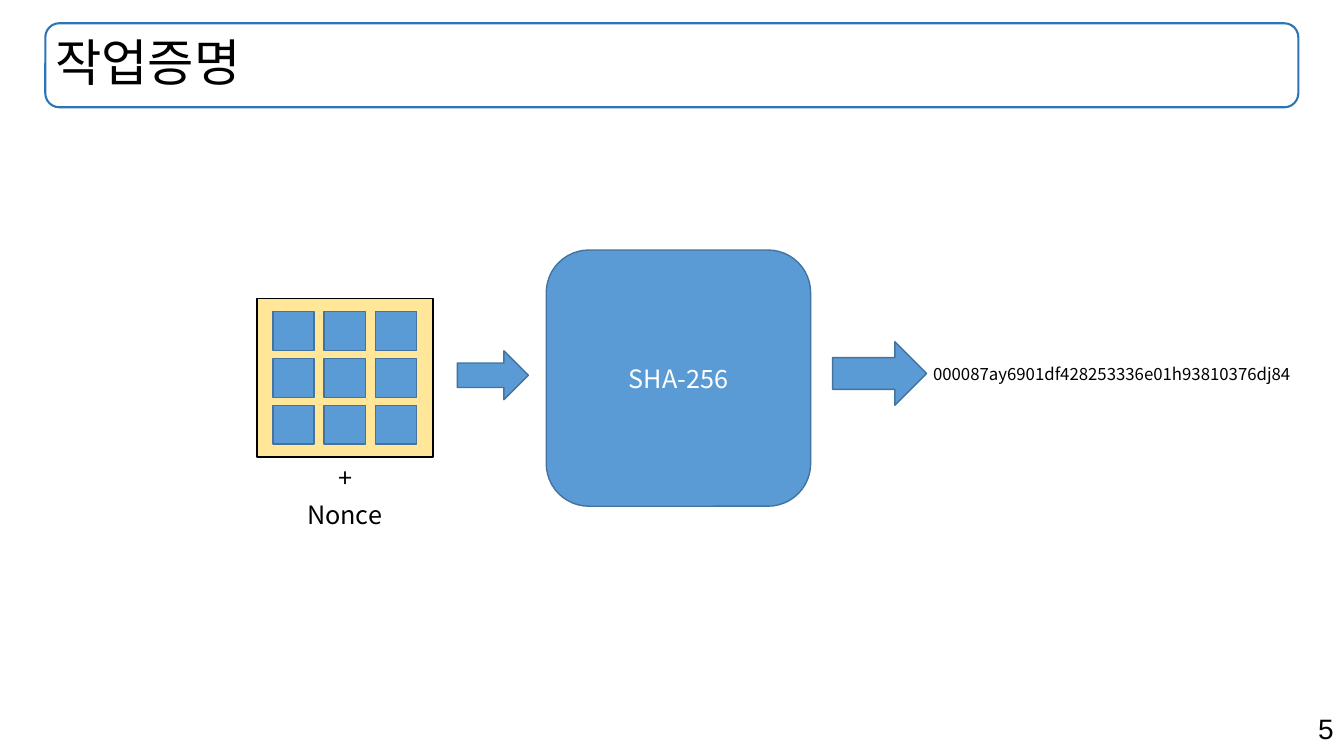
from itertools import product

from lxml import etree
from pptx import Presentation
from pptx.dml.color import RGBColor
from pptx.enum import shapes, text
from pptx.oxml.ns import qn
from pptx.util import Pt

THEME = {
    "black": "000000", "white": "FFFFFF",
    "blue": "5B9BD5", "blue_edge": "43739E", "title_edge": "2E75B6", "block": "FFE699",
    "latin": "Arial", "korean": "Noto Sans CJK KR",
    "title": 36, "number": 20, "label": 18, "hash": 12,
}
SHAPE = shapes.MSO_SHAPE
ALIGN = text.PP_ALIGN

# Boxes are left, top, width, height in points.
TITLE = ("작업증명", (32.4, 16.6, 895, 60))
PAGE_NUMBER = ("5", (679, 504.7, 280.8, 31.7))
HASHER = ("SHA-256", (390.2, 178.6, 188.9, 183))
LABELS = [
    ("000087ay6901df428253336e01h93810376dj84", (653.8, 256.3, 280.8, 21.6), "hash"),
    ("Nonce", (198.7, 352.8, 95, 28.8), "label"),
    ("+", (229, 326.9, 36, 28.8), "label"),
]
BLOCK = (183.6, 213.1, 125.6, 113.4)
ARROWS = [(326.7, 250.6, 50.7, 34.9), (594.7, 244.1, 67.2, 45.4)]
CELL_ORIGIN = (194.9, 222.7)
CELL_SIZE = (29.5, 27.6)
CELL_STEP = (36.6, 33.5)
GRID = 3


def color(name):
    return RGBColor.from_string(THEME[name])


def add_figure(page, kind, box, fill="blue", edge="blue_edge", weight=1):
    figure = page.shapes.add_shape(kind, *map(Pt, box))
    figure.shadow.inherit = False
    if fill:
        figure.fill.solid()
        figure.fill.fore_color.rgb = color(fill)
    else:
        figure.fill.background()
    figure.line.color.rgb = color(edge)
    figure.line.width = Pt(weight)
    return figure


def write(shape, words, size, font="korean", ink="black", align=ALIGN.CENTER,
          anchor=text.MSO_ANCHOR.TOP):
    frame = shape.text_frame
    frame.word_wrap = True
    frame.vertical_anchor = anchor
    para = frame.paragraphs[0]
    para.alignment = align
    span = para.add_run()
    span.text = words
    span.font.name = THEME[font]
    span.font.size = Pt(THEME[size])
    span.font.color.rgb = color(ink)
    east_asian = etree.Element(qn("a:ea"), typeface=THEME["korean"])
    span.font._element.find(qn("a:latin")).addnext(east_asian)
    return para


def add_label(page, words, box, size, **style):
    return write(page.shapes.add_textbox(*map(Pt, box)), words, size, **style)


def add_header(page):
    words, box = TITLE
    add_figure(page, SHAPE.ROUNDED_RECTANGLE, box, None, "title_edge", 1.5)
    para = add_label(page, words, box, "title", font="latin", align=ALIGN.LEFT,
                     anchor=text.MSO_ANCHOR.MIDDLE)
    para.line_spacing = 0.9
    add_label(page, *PAGE_NUMBER, "number", font="latin", align=ALIGN.RIGHT)


def add_block(page):
    add_figure(page, SHAPE.RECTANGLE, BLOCK, "block", "black")
    for row, column in product(range(GRID), repeat=2):
        left = CELL_ORIGIN[0] + column * CELL_STEP[0]
        top = CELL_ORIGIN[1] + row * CELL_STEP[1]
        add_figure(page, SHAPE.RECTANGLE, (left, top, *CELL_SIZE))


def add_hashing(page):
    words, box = HASHER
    hasher = add_figure(page, SHAPE.ROUNDED_RECTANGLE, box)
    write(hasher, words, "label", ink="white", anchor=text.MSO_ANCHOR.MIDDLE)
    for arrow in ARROWS:
        add_figure(page, SHAPE.RIGHT_ARROW, arrow)
    for words, box, size in LABELS:
        add_label(page, words, box, size)


def main():
    deck = Presentation()
    deck.slide_width, deck.slide_height = Pt(960), Pt(540)
    page = deck.slides.add_slide(deck.slide_layouts[6])
    add_header(page)
    add_block(page)
    add_hashing(page)
    deck.save("out.pptx")


if __name__ == "__main__":
    main()
